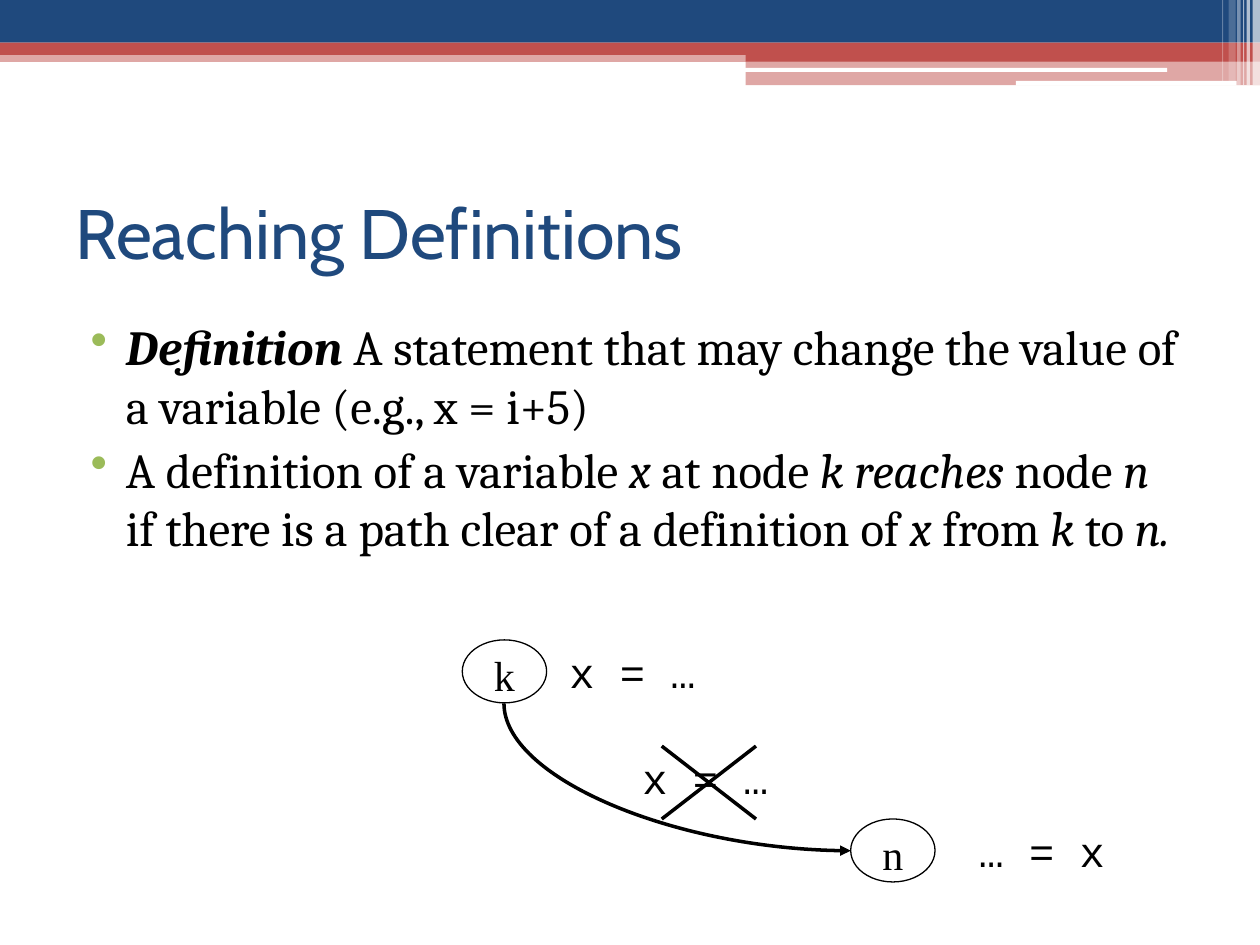
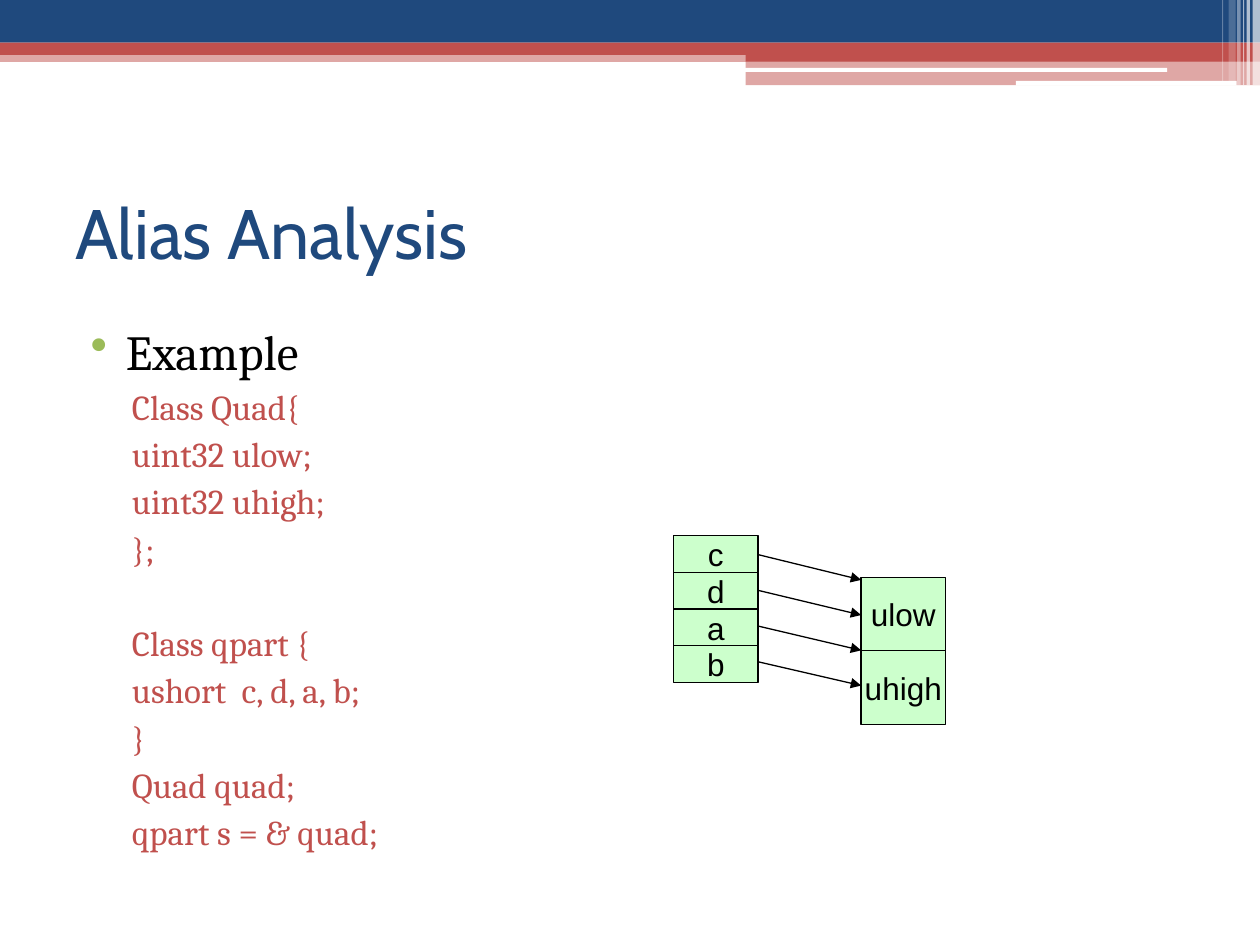
from lxml.etree import SubElement
from pptx import Presentation
from pptx.dml.color import RGBColor
from pptx.enum.shapes import MSO_CONNECTOR, MSO_SHAPE
from pptx.enum.text import MSO_ANCHOR, PP_ALIGN
from pptx.oxml.ns import qn
from pptx.util import Cm, Pt

NAVY = RGBColor(0x1F, 0x49, 0x7D)
RED = RGBColor(0xC0, 0x50, 0x4D)
GREEN = RGBColor(0x9B, 0xBB, 0x59)
MINT = RGBColor(0xCC, 0xFF, 0xCC)
BLACK = RGBColor(0, 0, 0)
WHITE = RGBColor(0xFF, 0xFF, 0xFF)

# Header bands: left, top, width, height (cm), colour, opacity in percent
BANDS = [
    (0, 1.01, 25.4, 0.24, RED, 50),
    (0, 0, 25.4, 0.86, NAVY, 100),
    (0, 0.86, 25.4, 0.25, RED, 100),
    (15.03, 1, 10.37, 0.24, RED, 100),
    (15.03, 1.23, 10.37, 0.49, RED, 50),
    (15.02, 1.37, 8.51, 0.08, WHITE, 100),
    (20.48, 1.63, 4.45, 0.1, WHITE, 100),
    (25.25, 0, 0.15, 1.72, WHITE, 65),
    (25.13, 0, 0.07, 1.72, WHITE, 65),
    (25.06, 0, 0.02, 1.72, WHITE, 60),
    (24.94, 0, 0.07, 1.72, WHITE, 40),
    (24.77, 0, 0.14, 1.63, WHITE, 20),
    (24.64, 0, 0.02, 1.63, WHITE, 30),
]


def add_label(page, kind, area, text, font_name, size, fill=None, line=None):
    """Add a shape (or a text box when kind is None) holding one line of text."""
    area = [Cm(length) for length in area]
    if kind is None:
        box = page.shapes.add_textbox(*area)
    else:
        box = page.shapes.add_shape(kind, *area)
        box.shadow.inherit = False
        if fill is None:
            box.fill.background()
        else:
            box.fill.solid()
            box.fill.fore_color.rgb = fill
        if line is None:
            box.line.fill.background()
        else:
            box.line.color.rgb = line
            box.line.width = Pt(0.75)
    if text:
        frame = box.text_frame
        frame.text = text
        frame.word_wrap = False
        para = frame.paragraphs[0]
        para.font.name = font_name
        para.font.size = Pt(size)
        para.font.color.rgb = BLACK
        if kind is not None:
            para.alignment = PP_ALIGN.CENTER
            frame.vertical_anchor = MSO_ANCHOR.MIDDLE
    return box


def add_line(page, kind, start, end, width, arrow=False):
    """Add a black connector, with an arrowhead at its end if asked for."""
    line = page.shapes.add_connector(kind, *[Cm(length) for length in start + end])
    line.line.color.rgb = BLACK
    line.line.width = Pt(width)
    if arrow:
        SubElement(line.line._get_or_add_ln(), qn("a:tailEnd"), type="triangle")
    SubElement(line._element.spPr, qn("a:effectLst"))
    return line


deck = Presentation()
deck.slide_width = Cm(25.4)
deck.slide_height = Cm(19.05)

# Wording: each body paragraph is a list of (text, style) spans
definition = [
    [("Definition ", "bold italic"),
     ("A statement that may change the value of a variable (e.g., x = i+5)", "")],
    [("A definition of a variable ", ""), ("x ", "italic"), ("at node ", ""),
     ("k reaches ", "italic"), ("node ", ""), ("n", "italic"),
     (" if there is a path clear of a definition of ", ""), ("x", "italic"),
     (" from ", ""), ("k ", "italic"), ("to ", ""), ("n.", "italic")],
]
example = [[("Example", "")]]
code_lines = [
    "Class Quad{", "uint32 ulow;", "uint32 uhigh;", "};",
    "Class qpart {", "ushort  c, d, a, b;", "}", "Quad quad;", "qpart s = & quad;",
]
contents = [
    ("Reaching Definitions", (1.27, 6.25, 22.86, 12.01), definition, []),
    ("Alias Analysis", (1.27, 6.35, 21.79, 11), example, code_lines),
]

# Bands, title and body of each slide
pages = []
for title, body_area, bullets, code in contents:
    page = deck.slides.add_slide(deck.slide_layouts[6])
    pages.append(page)
    for *area, colour, opacity in BANDS:
        band = add_label(page, MSO_SHAPE.RECTANGLE, area, "", None, 0, fill=colour)
        if opacity < 100:
            tint = band._element.spPr.find(qn("a:solidFill"))[0]
            SubElement(tint, qn("a:alpha"), val=str(opacity * 1000))

    heading = add_label(page, None, (1.27, 3.18, 22.86, 2.97), title, "Cabin", 40)
    heading.text_frame.word_wrap = True
    heading.text_frame.vertical_anchor = MSO_ANCHOR.MIDDLE
    heading.text_frame.paragraphs[0].font.color.rgb = NAVY

    body = page.shapes.add_textbox(*[Cm(length) for length in body_area])
    frame = body.text_frame
    frame.word_wrap = True
    for index, spans in enumerate(bullets):
        para = frame.add_paragraph() if index else frame.paragraphs[0]
        settings = para._p.get_or_add_pPr()
        settings.set("marL", str(Cm(1.02)))
        settings.set("indent", str(-Cm(0.71)))
        bullet_colour = SubElement(settings, qn("a:buClr"))
        SubElement(bullet_colour, qn("a:srgbClr"), val=str(GREEN))
        SubElement(settings, qn("a:buChar"), char="•")
        if index:
            para.space_before = Pt(3)
        for text, style in spans:
            span = para.add_run()
            span.text = text
            span.font.name = "Cambria"
            span.font.size = Pt(28)
            span.font.color.rgb = BLACK
            span.font.bold = "bold" in style
            span.font.italic = "italic" in style
    for text in code:
        para = frame.add_paragraph()
        para.text = text
        para._p.get_or_add_pPr().set("marL", str(Cm(1.14)))
        # A wider gap separates the two class definitions
        para.space_before = Pt(30 if text.startswith("Class qpart") else 3)
        para.font.name = "Cambria"
        para.font.size = Pt(20)
        para.font.color.rgb = RED

reaching, alias = pages

# Flow graph: nodes k and n with their statements
for name, left, top in [("k", 9.32, 12.9), ("n", 17.15, 16.51)]:
    node = add_label(reaching, MSO_SHAPE.OVAL, (left, top, 1.7, 1.27), name,
                     "Times New Roman", 24, line=BLACK)
    frame = node.text_frame
    frame.margin_left = frame.margin_right = frame.margin_bottom = 0
    frame.margin_top = Cm(0.15)
for text, left, top in [("x = …", 11.23, 12.9), ("… = x", 19.48, 16.51),
                        ("x = …", 12.7, 15.04)]:
    add_label(reaching, None, (left, top, 3.05, 1.27), text, "Courier New", 24)

# Curved path that leaves k downwards and enters n from the left
path_curve = add_line(reaching, MSO_CONNECTOR.CURVE, (12.17, 12.17), (15.14, 19.16),
                      2, arrow=True)
outline = path_curve._element.spPr
outline.find(qn("a:prstGeom")).set("prst", "curvedConnector2")
outline.find(qn("a:xfrm")).set("rot", str(270 * 60000))
outline.find(qn("a:xfrm")).set("flipH", "1")

# Cross over the redefinition of x
for start_x, end_x in [(15.24, 13.34), (13.34, 15.24)]:
    add_line(reaching, MSO_CONNECTOR.STRAIGHT, (start_x, 15.04), (end_x, 16.51), 2)

# Memory layout: two words beside four half words
for left, first_top, height, fields in [(17.36, 11.64, 1.48, ["ulow", "uhigh"]),
                                        (13.58, 10.8, 0.74, ["c", "d", "a", "b"])]:
    for row, field in enumerate(fields):
        add_label(alias, MSO_SHAPE.RECTANGLE,
                  (left, first_top + row * height, 1.7, height), field,
                  "Arial", 18, fill=MINT, line=BLACK)
for row in range(4):
    add_line(alias, MSO_CONNECTOR.STRAIGHT, (15.28, 11.18 + row * 0.72),
             (17.36, 11.69 + row * 0.71), 0.75, arrow=True)

deck.save("out.pptx")
